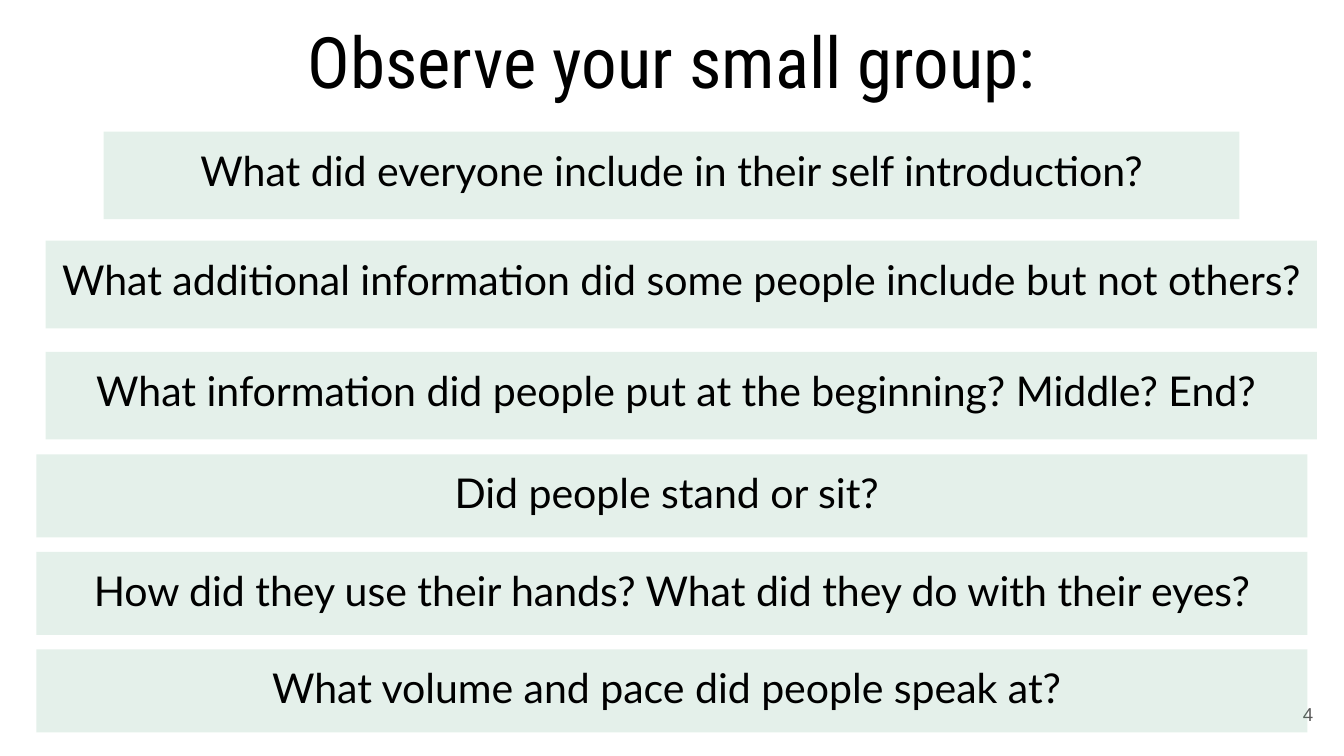
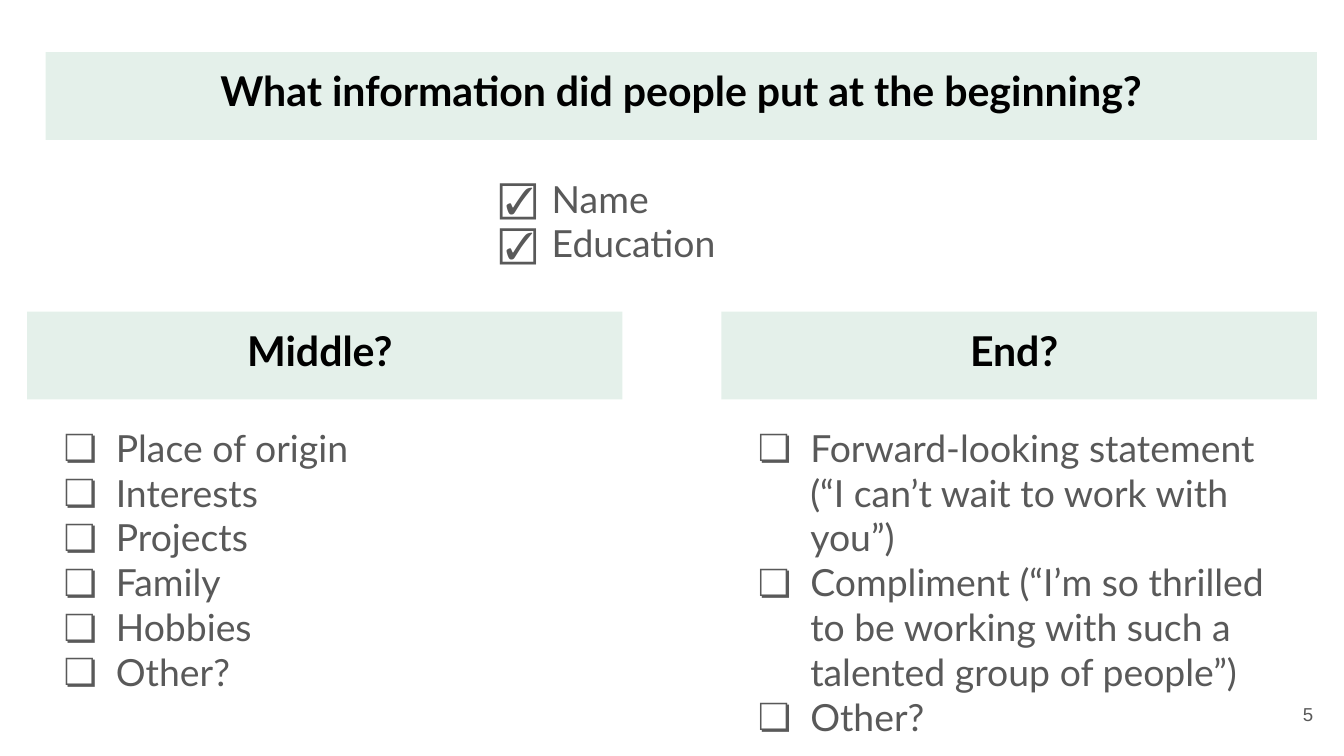
from lxml import etree
from pptx import Presentation
from pptx.dml.color import RGBColor
from pptx.enum import shapes, text
from pptx.oxml import ns
from pptx.util import Pt

COLORS = {"band": "4CA173", "ink": "000000", "muted": "595959"}
BAND_OPACITY = 15
INSET = 7.2

# Text styles: font values plus a colour name
TITLE = {"color": "ink", "font": {"name": "Roboto Condensed", "size": Pt(38)}}
QUESTION = {"color": "ink", "font": {"name": "Lato", "size": Pt(22)}}
HEADING = {"color": "ink", "font": {"name": "Lato", "size": Pt(22), "bold": True}}
ITEM = {"color": "muted", "font": {"name": "Lato", "size": Pt(20)}}
NUMBER = {"color": "muted", "font": {"name": "Arial", "size": Pt(10)}}

# Boxes shared by slides: left, top, width, height
TITLE_BOX = (24.5, -0.5, 671, 66)
NUMBER_BOX = (667.5, 367, 43, 31)
WIDE_X, WIDE_W, BAND_H = 24.5, 681, 47

QUESTIONS = [
    "What did everyone include in their self introduction?",
    "What additional information did some people include but not others?",
    "What information did people put at the beginning? Middle? End? ",
    "Did people stand or sit? ",
    "How did they use their hands? What did they do with their eyes?",
    "What volume and pace did people speak at? ",
]
MIDDLE = ["Place of origin", "Interests", "Projects", "Family", "Hobbies", "Other?"]
END = [
    "Forward-looking statement (“I can’t wait to work with you”)",
    "Compliment (“I’m so thrilled to be working with such a talented group of people”)",
    "Other?",
]


def add_bullet(p, char, color):
    pPr = p._p.get_or_add_pPr()
    pPr.set("marL", str(Pt(36)))
    pPr.set("indent", str(-Pt(28)))
    clr = etree.SubElement(pPr, ns.qn("a:buClr"))
    etree.SubElement(clr, ns.qn("a:srgbClr"), val=COLORS[color])
    etree.SubElement(pPr, ns.qn("a:buFont"), typeface="Lato")
    etree.SubElement(pPr, ns.qn("a:buChar"), char=char)


def write(sp, lines, style, align, anchor=text.MSO_ANCHOR.TOP, bullet=None):
    tf = sp.text_frame
    frame = {"word_wrap": True, "vertical_anchor": anchor}
    frame.update({f"margin_{side}": Pt(INSET) for side in ("left", "top", "right", "bottom")})
    for name, value in frame.items():
        setattr(tf, name, value)
    for i, line in enumerate(lines):
        p = tf.add_paragraph() if i else tf.paragraphs[0]
        p.alignment = align
        if bullet:
            add_bullet(p, bullet, style["color"])
        r = p.add_run()
        r.text = line
        for name, value in style["font"].items():
            setattr(r.font, name, value)
        r.font.color.rgb = RGBColor.from_string(COLORS[style["color"]])


def add_label(s, box, line, style, align):
    sp = s.shapes.add_textbox(*map(Pt, box))
    write(sp, [line], style, align, text.MSO_ANCHOR.MIDDLE)


def add_band(s, box, line, style):
    sp = s.shapes.add_shape(shapes.MSO_SHAPE.RECTANGLE, *map(Pt, box))
    sp.shadow.inherit = False
    sp.line.fill.background()
    sp.fill.solid()
    sp.fill.fore_color.rgb = RGBColor.from_string(COLORS["band"])
    clr = sp._element.spPr.find(".//" + ns.qn("a:srgbClr"))
    etree.SubElement(clr, ns.qn("a:alpha"), val=str(BAND_OPACITY * 1000))
    write(sp, [line], style, text.PP_ALIGN.CENTER)


def add_checklist(s, box, items, bullet, grow=False):
    sp = s.shapes.add_textbox(*map(Pt, box))
    write(sp, items, ITEM, text.PP_ALIGN.LEFT, bullet=bullet)
    if grow:
        sp.text_frame.auto_size = text.MSO_AUTO_SIZE.SHAPE_TO_FIT_TEXT


def add_column(s, box, heading, items):
    """A heading band with an open checklist below it."""
    x, y, w, h = box
    add_band(s, (x, y, w, BAND_H), heading, HEADING)
    add_checklist(s, (x + 4.5, y + 53.5, w - 9, h - 53.5), items, "❏", grow=True)


def new_slide(prs, number):
    s = prs.slides.add_slide(prs.slide_layouts[6])
    add_label(s, NUMBER_BOX, str(number), NUMBER, text.PP_ALIGN.RIGHT)
    return s


def observe_slide(prs, number):
    s = new_slide(prs, number)
    add_label(s, TITLE_BOX, "Observe your small group:", TITLE, text.PP_ALIGN.CENTER)
    # Three questions on content, then three evenly spaced on delivery
    boxes = [(55.5, 70.5, 608.5, BAND_H)]
    boxes += [(WIDE_X, y, WIDE_W, BAND_H) for y in (129, 188.5)]
    boxes += [(19.5, 243.5 + 52.2 * i, WIDE_W, 44.5) for i in range(3)]
    for box, question in zip(boxes, QUESTIONS):
        add_band(s, box, question, QUESTION)


def answers_slide(prs, number):
    s = new_slide(prs, number)
    # Beginning
    add_band(s, (WIDE_X, 28, WIDE_W, BAND_H),
             "What information did people put at the beginning?", HEADING)
    add_checklist(s, (252.5, 87, 229.5, 61), ["Name", "Education"], "☑")
    # Middle and end
    for x, heading, items in ((14.5, "Middle? ", MIDDLE), (386.5, "End? ", END)):
        add_column(s, (x, 167, 319, 213.5), heading, items)


def main():
    prs = Presentation()
    prs.slide_width, prs.slide_height = Pt(720), Pt(405)
    observe_slide(prs, 4)
    answers_slide(prs, 5)
    prs.save("out.pptx")


if __name__ == "__main__":
    main()
